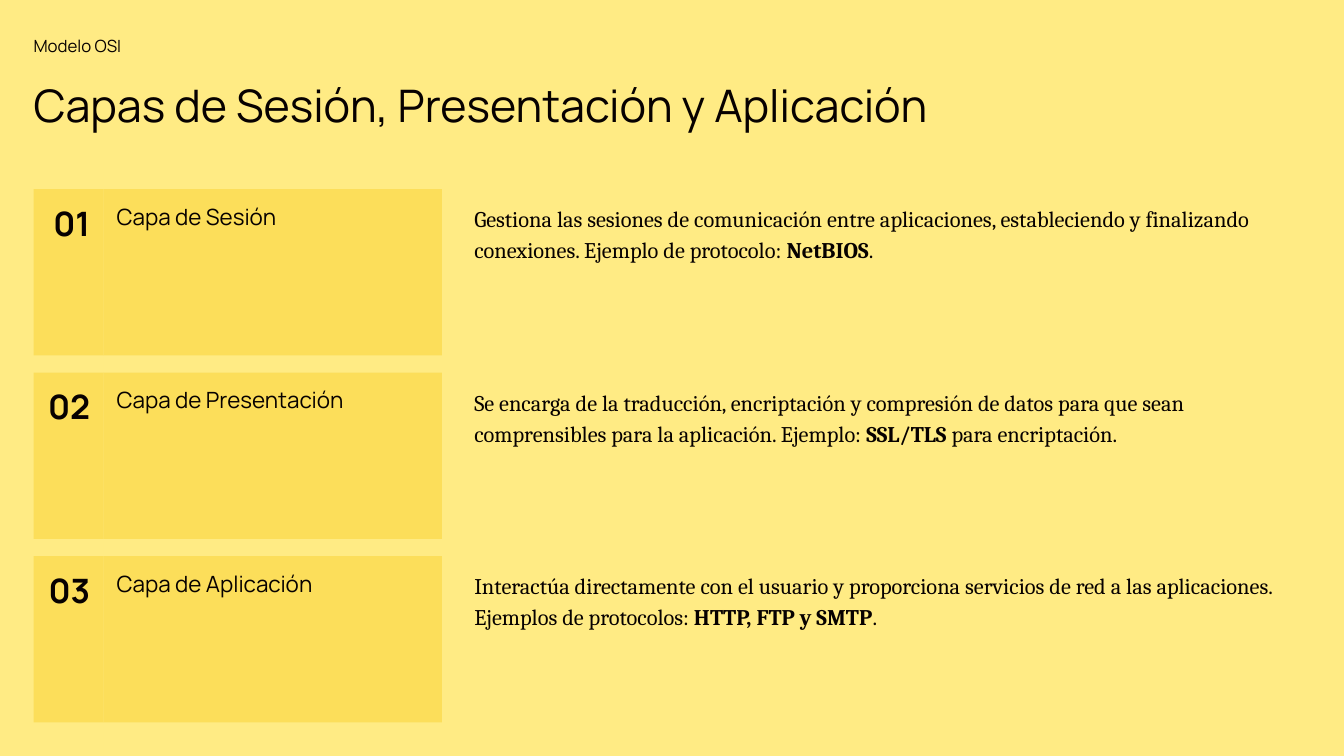
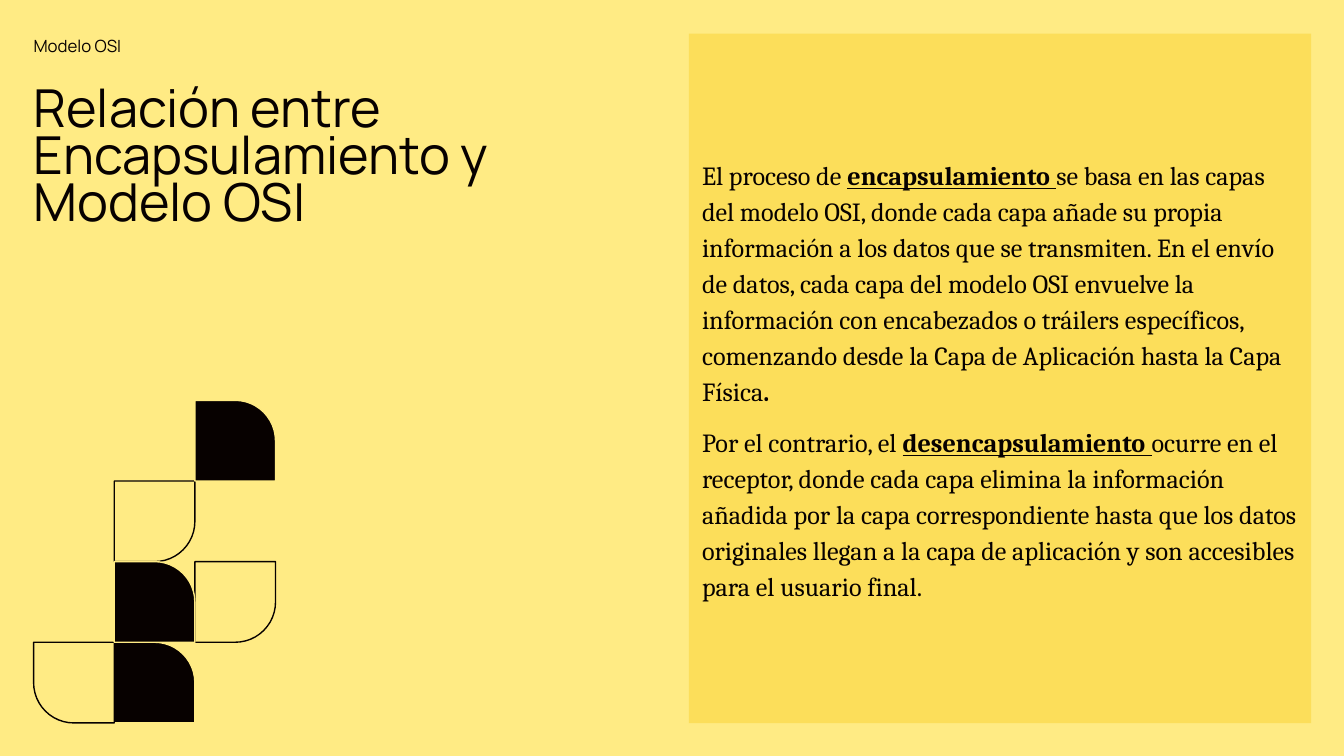
from pptx import Presentation
from pptx.dml.color import RGBColor
from pptx.enum import shapes, text
from pptx.util import Pt

COLORS = {"page": "FFEB84", "panel": "FCDE5A", "ink": "070100"}
MARGIN = 18
INSET = 7.2
HEADING = "Manrope"
READING = "Cambria"
BOLD = {"bold": True}
KEY_TERM = {"bold": True, "underline": True}


def rgb(name):
    return RGBColor.from_string(COLORS[name])


def write(slide, at, paragraphs, font, fill=None, frame={}, spacing={}):
    """Add a text block; each paragraph is a list of (words, extra font values)."""
    at = [Pt(length) for length in at]
    if fill:
        block = slide.shapes.add_shape(shapes.MSO_SHAPE.RECTANGLE, *at)
        block.shadow.inherit = False
        block.fill.solid()
        block.fill.fore_color.rgb = rgb(fill)
        block.line.fill.background()
    else:
        block = slide.shapes.add_textbox(*at)

    frame_values = {
        "word_wrap": True,
        "auto_size": text.MSO_AUTO_SIZE.NONE,
        "vertical_anchor": text.MSO_ANCHOR.TOP,
        **{f"margin_{side}": Pt(INSET) for side in ("left", "top", "right", "bottom")},
        **frame,
    }
    for key, value in frame_values.items():
        setattr(block.text_frame, key, value)

    for index, runs in enumerate(paragraphs):
        paragraph = block.text_frame.add_paragraph() if index else block.text_frame.paragraphs[0]
        for key, value in {"alignment": text.PP_ALIGN.LEFT, **spacing}.items():
            setattr(paragraph, key, value)
        for words, extra in runs:
            run = paragraph.add_run()
            run.text = words
            run.font.color.rgb = rgb("ink")
            for key, value in {**font, **extra}.items():
                setattr(run.font, key, value)
    return block


deck = Presentation()
deck.slide_width, deck.slide_height = Pt(720), Pt(405)

# Both slides: background, topic line and title
headings = [
    ("Capas de Sesión, Presentación y Aplicación", 24, 665.3, 45.4),
    ("Relación entre Encapsulamiento y Modelo OSI", 28, 342.7, 102.2),
]
for title, size, width, height in headings:
    slide = deck.slides.add_slide(deck.slide_layouts[6])
    slide.background.fill.solid()
    slide.background.fill.fore_color.rgb = rgb("page")
    write(slide, (MARGIN, 12.2, 333.4, 18.7), [[("Modelo OSI", {})]],
          {"name": HEADING, "size": Pt(9)}, frame={"margin_left": 0})
    write(slide, (MARGIN, 41, width, height), [[(title, {})]],
          {"name": HEADING, "size": Pt(size)},
          frame={"margin_left": 0, "margin_right": 0}, spacing={"line_spacing": 0.75})

layers_slide, relation_slide = deck.slides

# Slide 1: one row per layer
layers = [
    ("Capa de Sesión",
     "Gestiona las sesiones de comunicación entre aplicaciones, estableciendo y "
     "finalizando conexiones. Ejemplo de protocolo: ", "NetBIOS", "."),
    ("Capa de Presentación",
     "Se encarga de la traducción, encriptación y compresión de datos para que sean "
     "comprensibles para la aplicación. Ejemplo: ", "SSL/TLS", " para encriptación."),
    ("Capa de Aplicación",
     "Interactúa directamente con el usuario y proporciona servicios de red a las "
     "aplicaciones. Ejemplos de protocolos: ", "HTTP, FTP y SMTP", "."),
]
ROW_TOP, ROW_STEP, ROW_HEIGHT = 101.4, 98.3, 89
NUMBER_WIDTH, NAME_WIDTH = 37.4, 181.4

for row, (layer, duty, protocol, ending) in enumerate(layers):
    top = ROW_TOP + row * ROW_STEP
    write(layers_slide, (MARGIN + NUMBER_WIDTH, top, NAME_WIDTH, ROW_HEIGHT), [[(layer, {})]],
          {"name": HEADING, "size": Pt(12)}, fill="panel", spacing={"space_after": Pt(8)})
    write(layers_slide, (247, top - 0.6, 455.8, ROW_HEIGHT),
          [[(duty, {}), (protocol, BOLD), (ending, {})]],
          {"name": READING, "size": Pt(12)},
          spacing={"line_spacing": 1.15, "space_after": Pt(10)})
    write(layers_slide, (MARGIN, top, NUMBER_WIDTH, ROW_HEIGHT), [[(f"{row + 1:02}", BOLD)]],
          {"name": HEADING, "size": Pt(18)}, fill="panel", frame={"margin_left": 0},
          spacing={"alignment": text.PP_ALIGN.RIGHT, "space_after": Pt(8)})

# Slide 2: explanation panel
explanation = [
    [("El proceso de ", {}),
     ("encapsulamiento ", KEY_TERM),
     ("se basa en las capas del modelo OSI, donde cada capa añade su propia información "
      "a los datos que se transmiten. En el envío de datos, cada capa del modelo OSI "
      "envuelve la información con encabezados o tráilers específicos, comenzando desde "
      "la Capa de Aplicación hasta la Capa Física", {}),
     (".", BOLD)],
    [("Por el contrario, el ", {}),
     ("desencapsulamiento ", KEY_TERM),
     ("ocurre en el receptor, donde cada capa elimina la información añadida por la capa "
      "correspondiente hasta que los datos originales llegan a la capa de aplicación y son "
      "accesibles para el usuario final.", {})],
]
panel = write(relation_slide, (369, MARGIN, 333.4, 369.4), explanation,
              {"name": READING, "size": Pt(14)}, fill="panel",
              frame={"vertical_anchor": text.MSO_ANCHOR.MIDDLE}, spacing={"line_spacing": 1.15})
closing = panel.text_frame.paragraphs[1]
closing.space_before = closing.space_after = Pt(8)

# Slide 2: mosaic of tiles with one round corner (column, row, rotation, filled)
TILE, MOSAIC_TOP = 43.2, 214.5
tiles = [
    (1, 3, 0, True),
    (2, 2, 90, False),
    (1, 1, 90, False),
    (2, 0, 0, True),
    (0, 3, 180, False),
    (1, 2, 0, True),
]
for column, row, rotation, filled in tiles:
    tile = relation_slide.shapes.add_shape(
        shapes.MSO_SHAPE.ROUND_1_RECTANGLE,
        Pt(MARGIN + column * TILE), Pt(MOSAIC_TOP + row * TILE), Pt(TILE), Pt(TILE))
    tile.shadow.inherit = False
    tile.adjustments[0] = 0.5
    tile.rotation = rotation
    if filled:
        tile.fill.solid()
        tile.fill.fore_color.rgb = rgb("ink")
    else:
        tile.fill.background()
    tile.line.color.rgb = rgb("page" if filled else "ink")
    tile.line.width = Pt(0.75)

deck.save("out.pptx")
